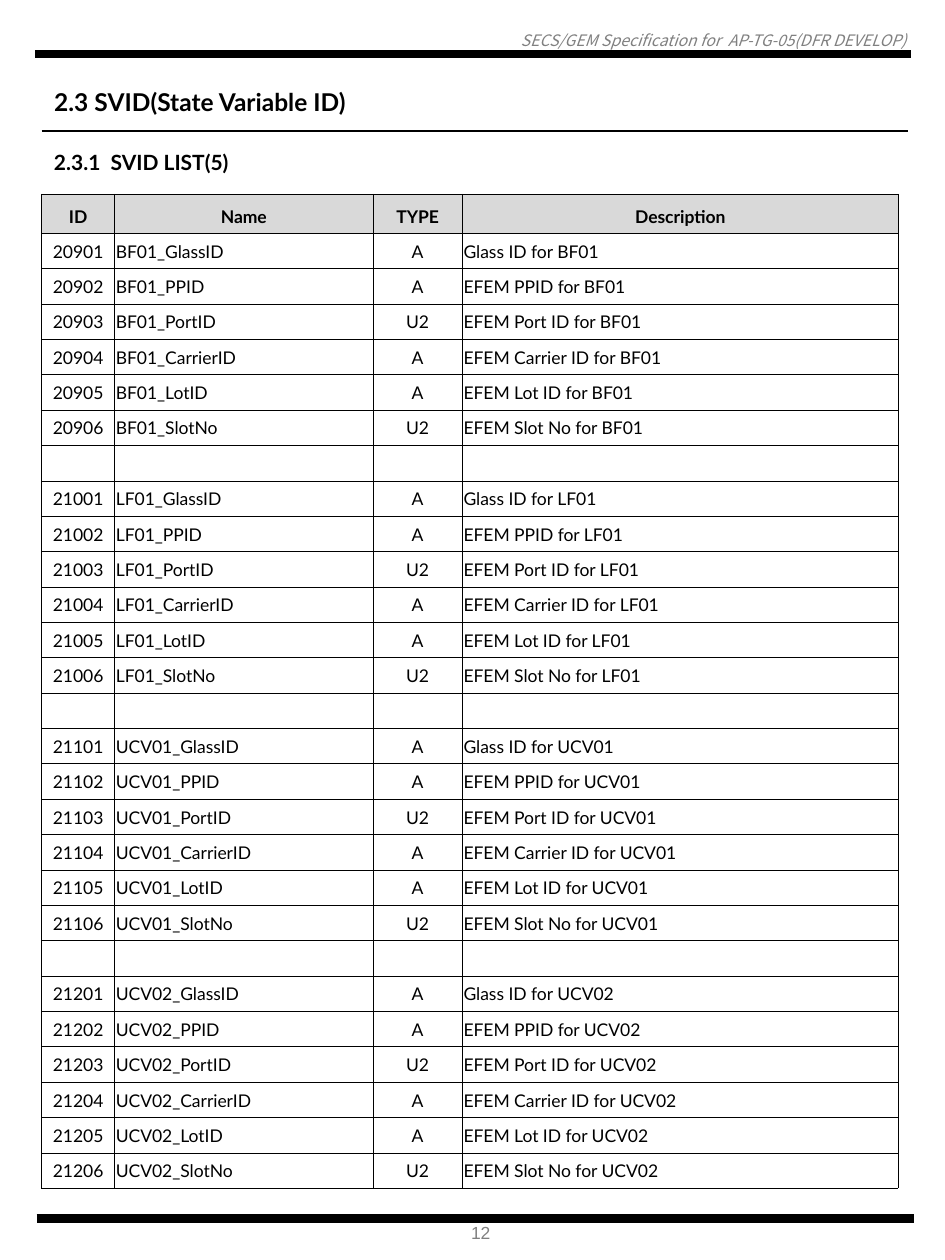
from lxml import etree
from pptx import Presentation
from pptx.dml.color import RGBColor
from pptx.enum.shapes import MSO_CONNECTOR
from pptx.enum.text import MSO_ANCHOR, MSO_AUTO_SIZE, PP_ALIGN
from pptx.oxml.ns import qn
from pptx.util import Inches, Pt

LEFT, CENTER, RIGHT = PP_ALIGN.LEFT, PP_ALIGN.CENTER, PP_ALIGN.RIGHT
TOP, MIDDLE = MSO_ANCHOR.TOP, MSO_ANCHOR.MIDDLE
NO_AUTOFIT = MSO_AUTO_SIZE.NONE
STRAIGHT = MSO_CONNECTOR.STRAIGHT

BLACK, GRAY, HEADER_FILL = "000000", "808080", "D9D9D9"
BODY_FONT, HEADER_FONT, PAGE_FONT = "Lato", "Noto Sans CJK KR", "Arial"

COLUMN_WIDTHS = [0.58, 2.05, 0.71, 3.46]
COLUMN_ALIGNMENTS = [CENTER, LEFT, CENTER, LEFT]
TABLE_HEIGHT, HEADING_HEIGHT = 7.89, 0.31

HEADINGS = ["ID", "Name", "TYPE", "Description"]
UNITS = [(20900, "BF01"), (21000, "LF01"), (21100, "UCV01"), (21200, "UCV02")]
VARIABLES = [
    ("GlassID", "A", "Glass ID"),
    ("PPID", "A", "EFEM PPID"),
    ("PortID", "U2", "EFEM Port ID"),
    ("CarrierID", "A", "EFEM Carrier ID"),
    ("LotID", "A", "EFEM Lot ID"),
    ("SlotNo", "U2", "EFEM Slot No"),
]


def color(value):
    return RGBColor.from_string(value)


def variable_rows():
    rows = []
    for base, unit in UNITS:
        if rows:
            rows.append([""] * len(HEADINGS))
        for number, (name, kind, meaning) in enumerate(VARIABLES, 1):
            rows.append([str(base + number), f"{unit}_{name}", kind, f"{meaning} for {unit}"])
    return rows


class SlideBuilder:
    def __init__(self, slide):
        self.slide = slide

    def format_text(self, paragraph, size, font=BODY_FONT, fill=BLACK, bold=False, italic=False):
        for run in paragraph.runs:
            run.font.name = font
            run.font.size = Pt(size)
            run.font.bold = bold
            run.font.italic = italic
            run.font.color.rgb = color(fill)

    def fill_shape(self, shape, box, text, size, align=LEFT, margins=(0.1, 0.05), wrap=False, **style):
        shape.left, shape.top, shape.width, shape.height = map(Inches, box)
        frame = shape.text_frame
        frame.text = text
        frame.word_wrap = wrap
        frame.auto_size = NO_AUTOFIT
        frame.vertical_anchor = TOP
        frame.margin_left = frame.margin_right = Inches(margins[0])
        frame.margin_top = frame.margin_bottom = Inches(margins[1])
        paragraph = frame.paragraphs[0]
        paragraph.alignment = align
        self.format_text(paragraph, size, **style)

    def title(self, box, text, size, **style):
        self.fill_shape(self.slide.shapes.title, box, text, size, **style)

    def text(self, box, text, size, **style):
        shape = self.slide.shapes.add_textbox(*map(Inches, box))
        self.fill_shape(shape, box, text, size, **style)

    def rule(self, left, right, top, width):
        line = self.slide.shapes.add_connector(
            STRAIGHT, Inches(left), Inches(top), Inches(right), Inches(top))
        line.line.color.rgb = color(BLACK)
        line.line.width = Pt(width)
        etree.SubElement(line._element.spPr, qn("a:effectLst"))

    def border(self, cell, width):
        properties = cell._tc.get_or_add_tcPr()
        for side in ("a:lnL", "a:lnR", "a:lnT", "a:lnB"):
            line = etree.SubElement(properties, qn(side), w=str(Pt(width)))
            fill = etree.SubElement(line, qn("a:solidFill"))
            etree.SubElement(fill, qn("a:srgbClr"), val=BLACK)

    def cell(self, cell, text, align, heading):
        cell.text = text
        cell.vertical_anchor = MIDDLE
        cell.margin_left = cell.margin_right = Inches(0 if heading else 0.01)
        cell.margin_top = Inches(0.04 if heading else 0.01)
        cell.margin_bottom = Inches(0.04 if heading else 0)
        paragraph = cell.text_frame.paragraphs[0]
        paragraph.alignment = align
        if heading:
            paragraph.line_spacing = Pt(16)
        if not text:
            etree.SubElement(paragraph._p, qn("a:endParaRPr"), sz="1000")
        self.format_text(paragraph, 10, bold=heading)
        self.border(cell, 0.25)
        if heading:
            cell.fill.solid()
            cell.fill.fore_color.rgb = color(HEADER_FILL)
        else:
            cell.fill.background()

    def table(self, left, top, rows):
        table = self.slide.shapes.add_table(
            len(rows), len(COLUMN_WIDTHS), Inches(left), Inches(top),
            Inches(sum(COLUMN_WIDTHS)), Inches(TABLE_HEIGHT)).table
        table.horz_banding = False
        table.first_row = False
        for column, width in zip(table.columns, COLUMN_WIDTHS):
            column.width = Inches(width)
        body_height = (TABLE_HEIGHT - HEADING_HEIGHT) / (len(rows) - 1)
        for row_index, values in enumerate(rows):
            heading = row_index == 0
            table.rows[row_index].height = Inches(HEADING_HEIGHT if heading else body_height)
            for column_index, value in enumerate(values):
                align = CENTER if heading else COLUMN_ALIGNMENTS[column_index]
                self.cell(table.cell(row_index, column_index), value, align, heading)


def main():
    presentation = Presentation()
    presentation.slide_width = Inches(7.5)
    presentation.slide_height = Inches(10)
    builder = SlideBuilder(presentation.slides.add_slide(presentation.slide_layouts[5]))

    builder.text((0.05, 0.24, 7.14, 0.15), "SECS/GEM Specification for  AP-TG-05(DFR DEVELOP)", 9,
                 align=RIGHT, margins=(0, 0), wrap=True, font=HEADER_FONT, fill=GRAY, italic=True)
    builder.rule(0.28, 7.23, 0.43, 4.75)
    builder.rule(0.29, 7.25, 9.67, 4.75)
    builder.text((3.64, 9.65, 0.37, 0.27), "12", 10, font=PAGE_FONT, fill=GRAY)
    builder.title((0.33, 0.64, 2.95, 0.34), "2.3 SVID(State Variable ID)", 14, bold=True)
    builder.rule(0.33, 7.21, 1.04, 0.75)
    builder.text((0.33, 1.14, 1.85, 0.3), "2.3.1  SVID LIST(5)", 12, bold=True)
    builder.table(0.33, 1.54, [HEADINGS] + variable_rows())

    presentation.save("out.pptx")


if __name__ == "__main__":
    main()
